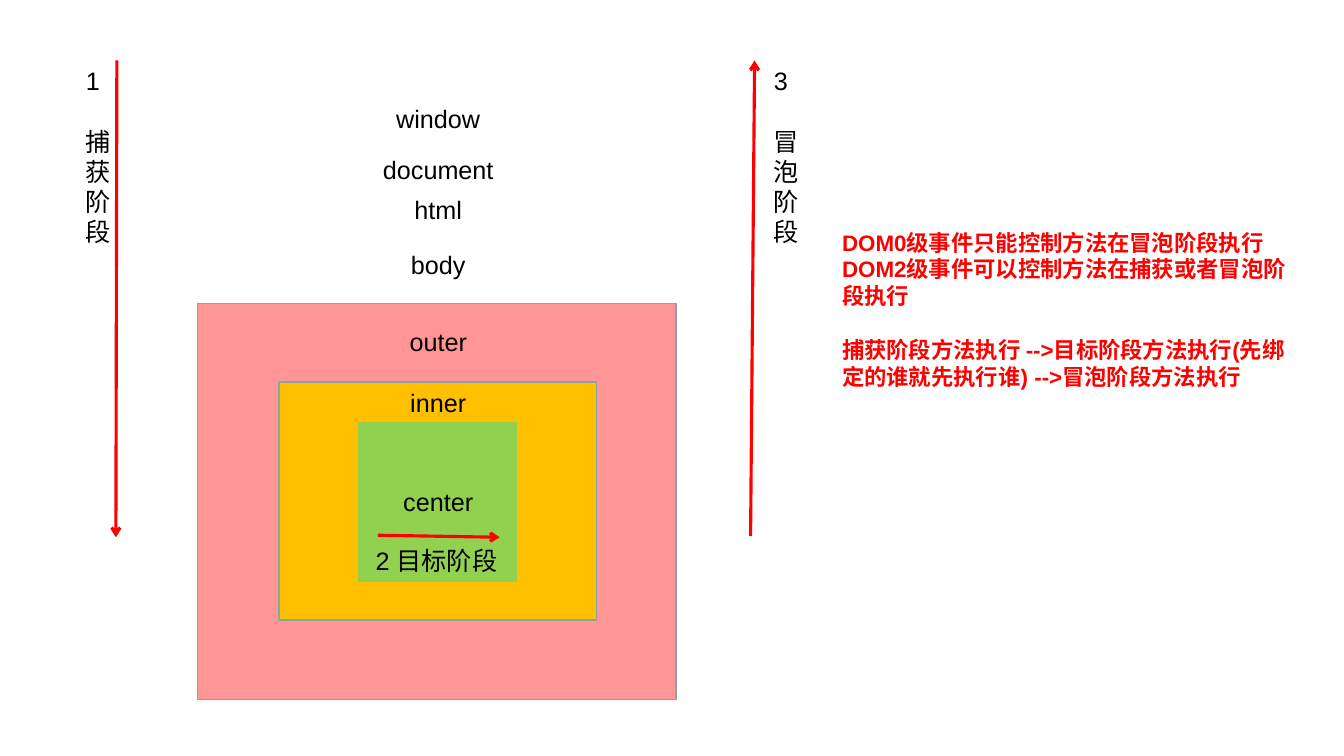
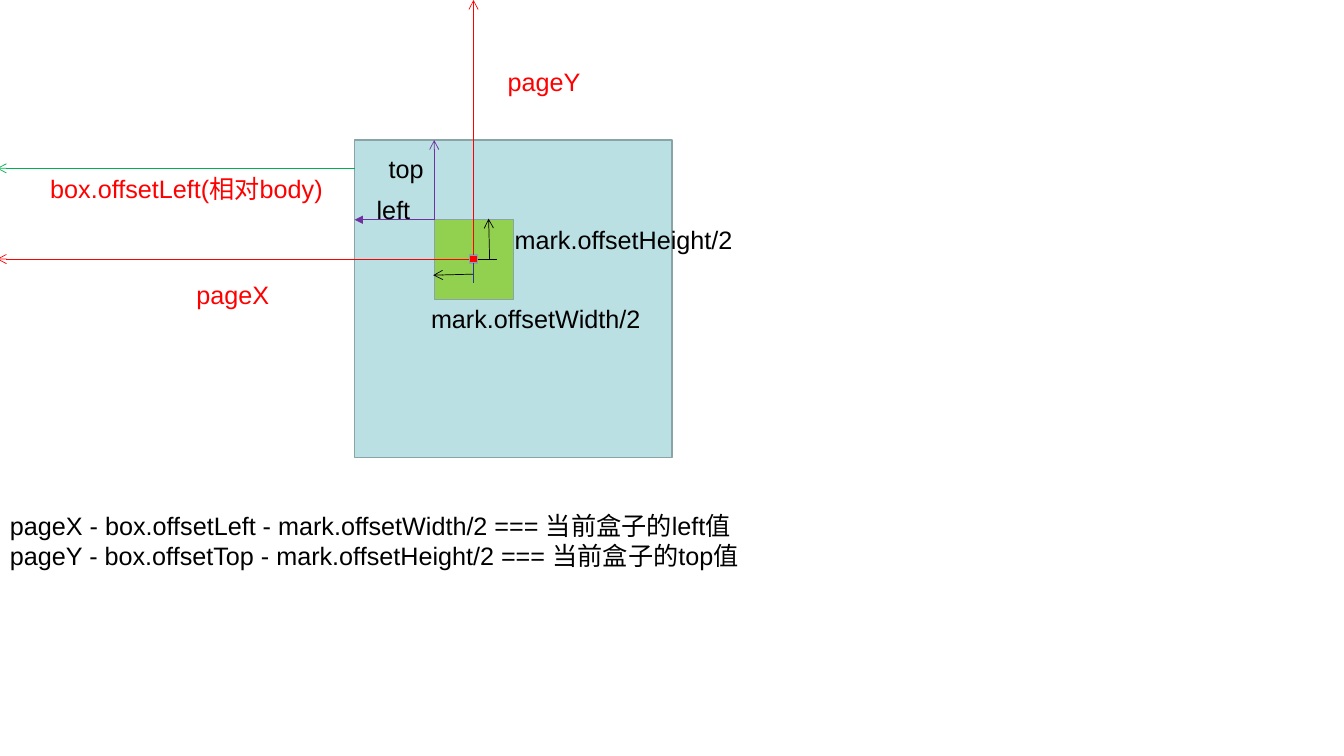
import pptx
import pptx.util
import pptx.dml.color
import pptx.enum.shapes
import pptx.enum.text
import pptx.oxml
import pptx.oxml.ns
from lxml import etree

Inches = pptx.util.Inches
Pt = pptx.util.Pt
Align = pptx.enum.text.PP_ALIGN
TOP, LEFT, BOTTOM, RIGHT = range(4)


class Theme:
    font = "Arial"
    body, note = 18, 16
    thin, edge, thick = 0.5, 1, 2.25
    black = "000000"
    red = "FF0000"
    pink = "FF9595"
    gold = "FFC000"
    lime = "92D050"
    pale = "BBE0E3"
    slate = "89A4A7"
    purple = "7030A0"
    green = "00B050"
    navy = "333399"


def tint(code):
    return pptx.dml.color.RGBColor.from_string(code)


def write(frame, text, size=Theme.body, color=Theme.black, bold=False,
          align=Align.LEFT, gaps=()):
    """Fill a frame, one paragraph a line; gaps maps line numbers to points before."""
    gaps = dict(gaps)
    for i, line in enumerate(text.split("\n")):
        para = frame.paragraphs[0] if i == 0 else frame.add_paragraph()
        para.alignment = align
        para.space_before = Pt(gaps.get(i, 0))
        run = para.add_run()
        run.text = line
        font = run.font
        font.name, font.size, font.bold = Theme.font, Pt(size), bold
        font.color.rgb = tint(color)


class Deck:
    def __init__(self):
        self.file = pptx.Presentation()
        self.file.slide_width = Inches(13.34)
        self.file.slide_height = Inches(7.5)
        self.slide = None

    def page(self):
        self.slide = self.file.slides.add_slide(self.file.slide_layouts[6])

    def box(self, x, y, w, h, fill, edge=Theme.slate):
        kind = pptx.enum.shapes.MSO_SHAPE.RECTANGLE
        rect = self.slide.shapes.add_shape(
            kind, Inches(x), Inches(y), Inches(w), Inches(h))
        rect.shadow.inherit = False
        rect.fill.solid()
        rect.fill.fore_color.rgb = tint(fill)
        rect.line.color.rgb = tint(edge)
        rect.line.width = Pt(Theme.edge)
        return rect

    def text(self, text, x, y, w, h=0.4, wrap=False, **style):
        area = self.slide.shapes.add_textbox(
            Inches(x), Inches(y), Inches(w), Inches(h))
        frame = area.text_frame
        frame.word_wrap = wrap
        frame.auto_size = pptx.enum.text.MSO_AUTO_SIZE.SHAPE_TO_FIT_TEXT
        write(frame, text, **style)

    def line(self, start, end, color, width=Theme.thin, head="arrow", join=None):
        """Draw a line; join is the (shape, side) that it starts from."""
        kind = pptx.enum.shapes.MSO_CONNECTOR.STRAIGHT
        link = self.slide.shapes.add_connector(
            kind, *(Inches(v) for v in (*start, *end)))
        link.line.color.rgb = tint(color)
        link.line.width = Pt(width)
        if join:
            link.begin_connect(*join)
        qn = pptx.oxml.ns.qn
        if head:
            etree.SubElement(link.line._get_or_add_ln(), qn("a:tailEnd"), type=head)
        etree.SubElement(link._element.spPr, qn("a:effectLst"))


def phases(deck):
    deck.page()
    deck.box(1.96, 3.01, 4.75, 3.93, Theme.pink)
    deck.box(2.77, 3.79, 3.15, 2.36, Theme.gold)
    deck.box(3.56, 4.19, 1.57, 1.58, Theme.lime, Theme.lime)

    mid, wide = 4.35, 1.3
    for name, y in (("window", 0.98), ("document", 1.48), ("html", 1.88),
                    ("body", 2.42), ("outer", 3.19), ("inner", 3.79),
                    ("center", 4.78)):
        deck.text(name, mid - wide / 2, y, wide, align=Align.CENTER)
    deck.text("2 目标阶段", 3.63, 5.36, 1.47)

    for start, end in (((1.16, 0.6), (1.15, 5.33)),
                       ((3.75, 5.31), (4.96, 5.33)),
                       ((7.45, 5.32), (7.49, 0.6))):
        deck.line(start, end, Theme.red, Theme.thick)
    for name, x in (("1 捕获阶段", 0.78), ("3 冒泡阶段", 7.61)):
        deck.text(name, x, 0.6, 0.17, 1.9, wrap=True, align=Align.CENTER)

    deck.text("DOM0级事件只能控制方法在冒泡阶段执行\n"
              "DOM2级事件可以控制方法在捕获或者冒泡阶段执行\n"
              "捕获阶段方法执行 -->目标阶段方法执行(先绑定的谁就先执行谁) -->冒泡阶段方法执行",
              8.26, 2.22, 4.72, 1.7, wrap=True, size=Theme.note,
              color=Theme.red, bold=True, gaps={2: 19.3})


def offsets(deck):
    deck.page()
    deck.box(3.52, 1.39, 3.15, 3.15, Theme.pale)
    deck.box(4.31, 2.18, 0.79, 0.79, Theme.lime)
    dot = deck.box(4.66, 2.53, 0.08, 0.08, Theme.red)

    deck.line((4.31, 2.18), (3.52, 2.18), Theme.purple, head="triangle")
    deck.line((4.31, 2.18), (4.31, 1.39), Theme.purple)
    deck.text("left", 3.64, 1.88, 0.65)
    deck.text("top", 3.76, 1.47, 0.65)

    deck.line((4.66, 2.57), (-0.03, 2.57), Theme.red, join=(dot, LEFT))
    deck.line((4.7, 2.53), (4.7, 0), Theme.red, join=(dot, TOP))
    deck.line((4.7, 2.72), (4.3, 2.73), Theme.black)
    deck.line((4.86, 2.57), (4.85, 2.17), Theme.black)
    deck.line((4.7, 2.61), (4.7, 2.81), Theme.navy, head=None, join=(dot, BOTTOM))
    deck.line((4.74, 2.57), (4.93, 2.57), Theme.black, head=None, join=(dot, RIGHT))
    deck.line((3.52, 1.67), (-0.03, 1.67), Theme.green)

    deck.text("pageX", 1.85, 2.72, 0.95, color=Theme.red)
    deck.text("pageY", 4.94, 0.61, 0.95, color=Theme.red)
    deck.text("box.offsetLeft(相对body)", 0.4, 1.67, 3.1, color=Theme.red)
    deck.text("mark.offsetWidth/2", 4.18, 2.96, 2.35)
    deck.text("mark.offsetHeight/2", 5.01, 2.18, 2.45)
    deck.text("pageX - box.offsetLeft - mark.offsetWidth/2 === 当前盒子的left值\n"
              "pageY - box.offsetTop - mark.offsetHeight/2 === 当前盒子的top值",
              0, 5.01, 8.19, 0.7, wrap=True)


def main():
    deck = Deck()
    phases(deck)
    offsets(deck)
    deck.file.save("out.pptx")


if __name__ == "__main__":
    main()
